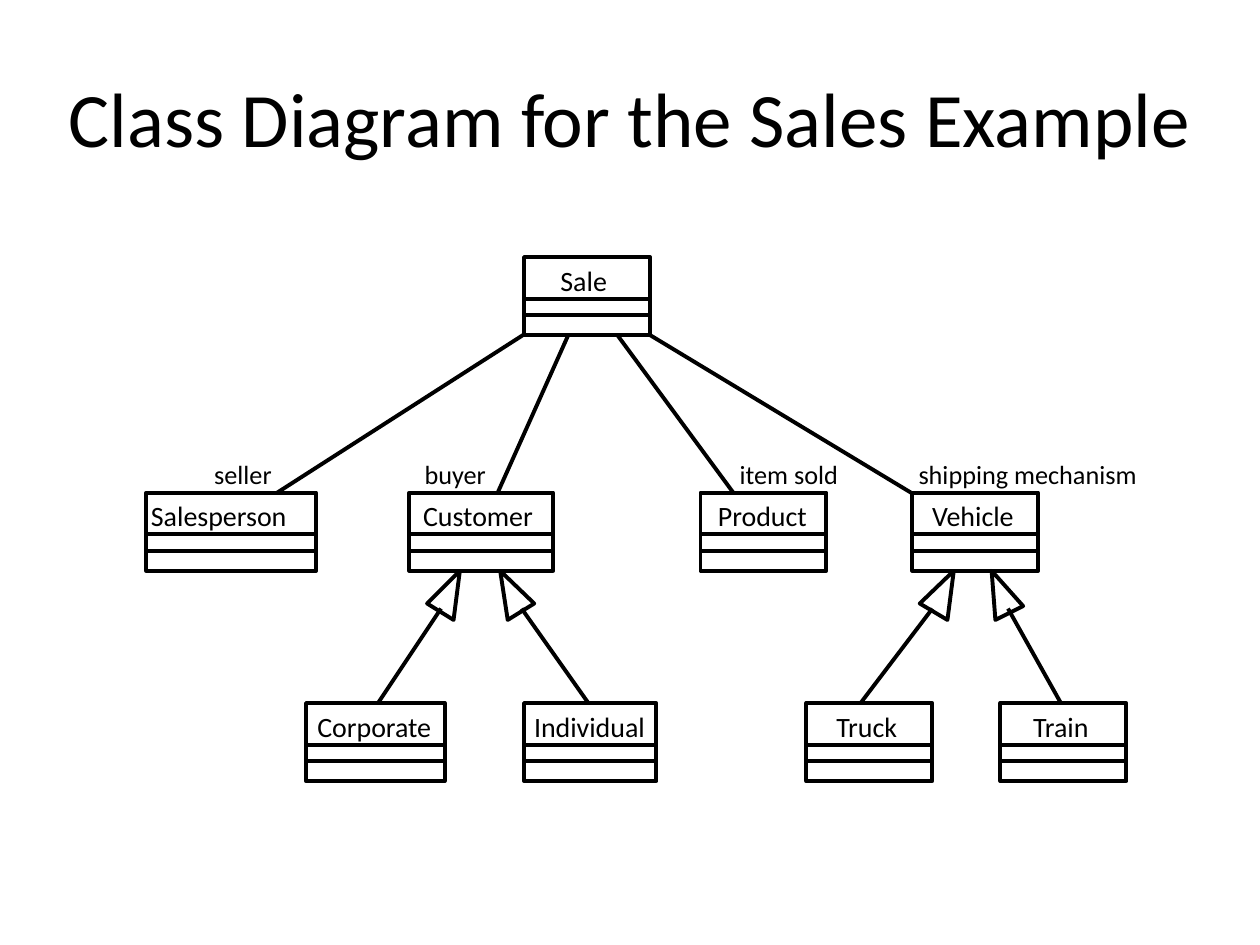
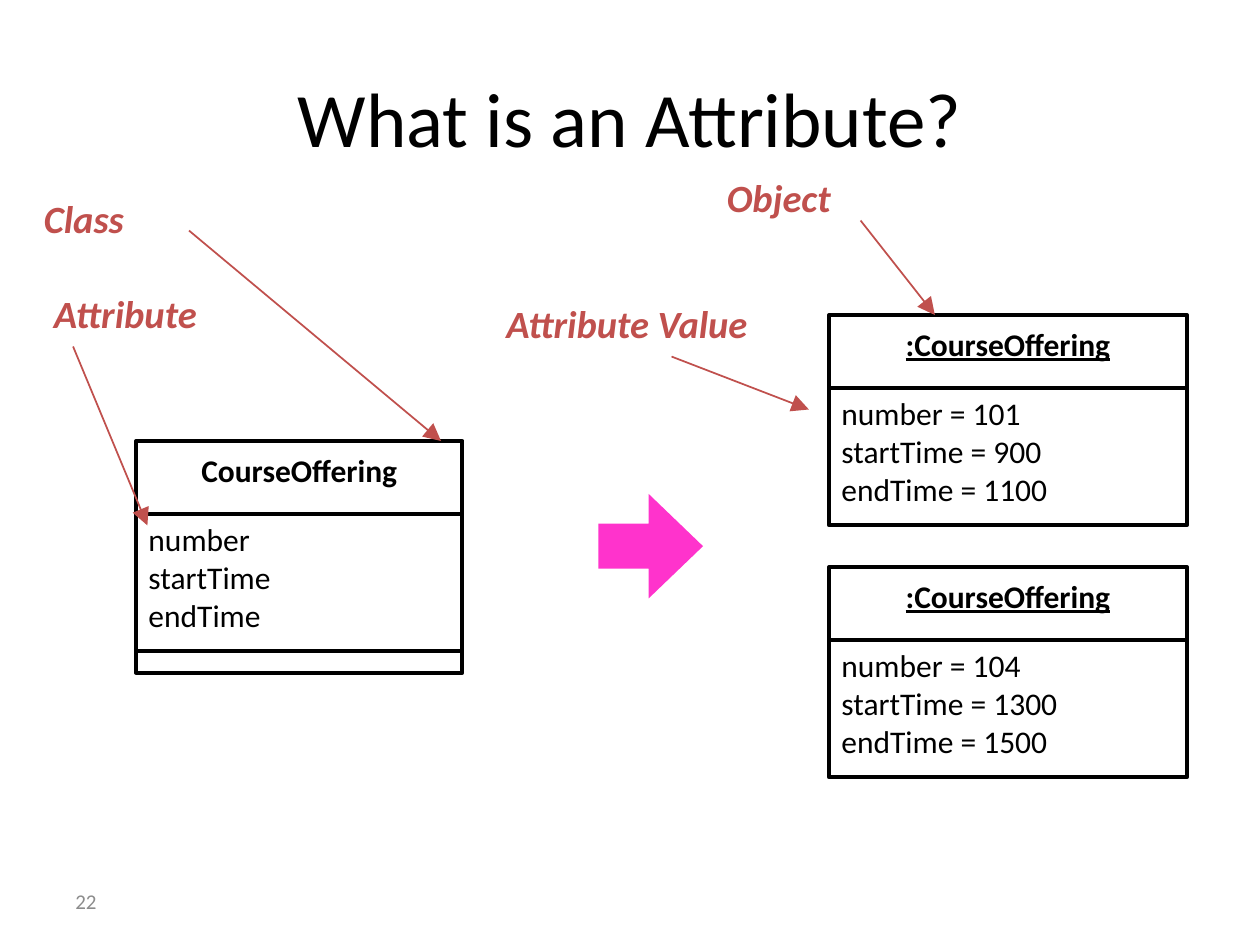
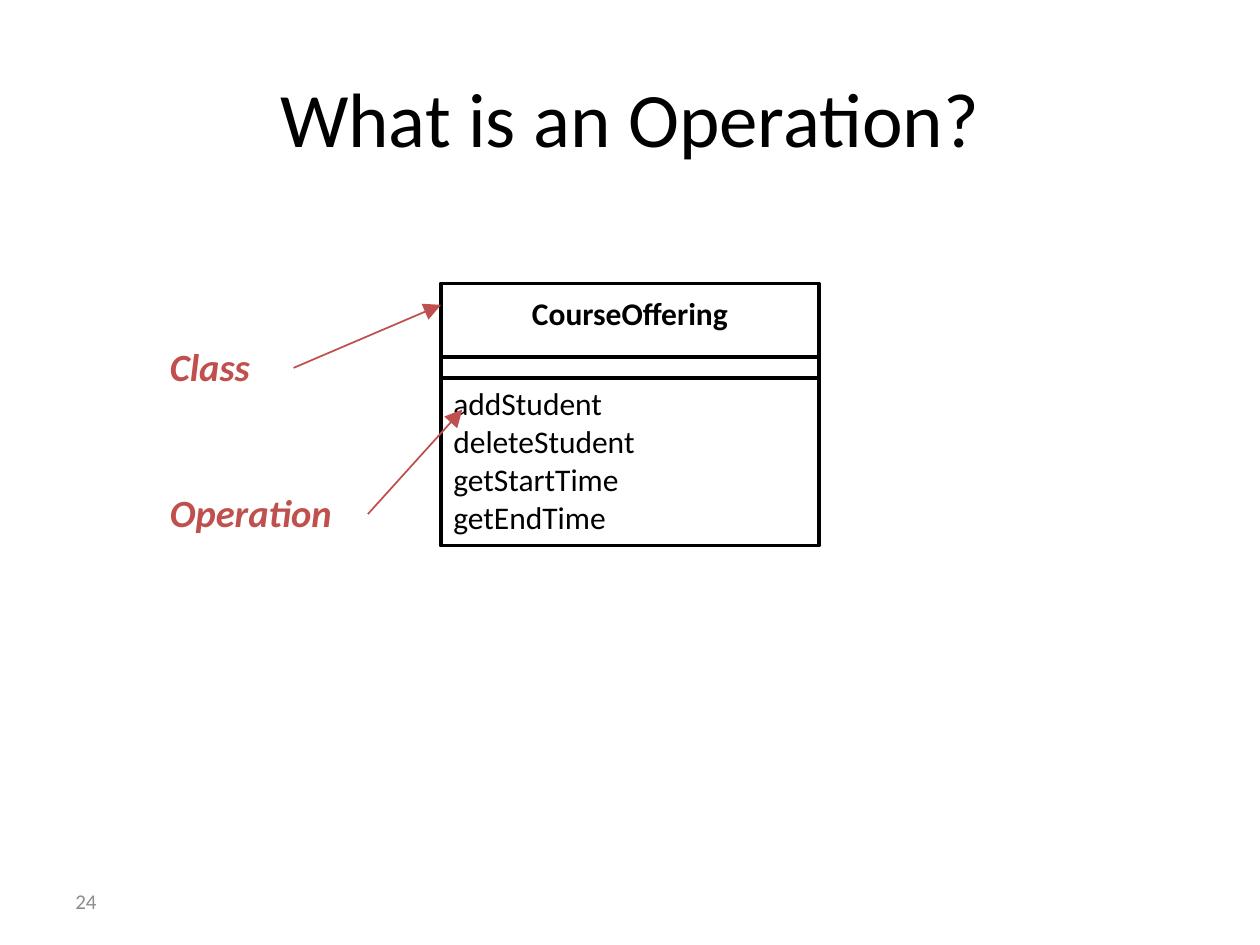
from itertools import accumulate
from lxml import etree
from pptx import Presentation, util as u
from pptx.dml.color import RGBColor
from pptx.enum import shapes, text
from pptx.oxml.ns import qn

COLORS = {"ink": "000000", "callout": "C0504D", "number": "8C8C8C", "arrow": "FF33CC"}
FONT = "Calibri"
INSETS = (0.1, 0.05)

LEVELS = {"sale": 2.04, "parts": 3.91, "kinds": 5.58}
CLASS_HEIGHT, CLASS_DIVIDERS = 0.62, (0.33, 0.46)
SALES_CLASSES = [
    ("Sale", "sale", 4.16, 1, 4.35, 0.64),
    ("Salesperson", "parts", 1.16, 1.35, 1.1, 1.43),
    ("Customer", "parts", 3.25, 1.14, 3.26, 1.16),
    ("Product", "parts", 5.56, 1, 5.6, 0.97),
    ("Vehicle", "parts", 7.24, 1, 7.3, 0.93),
    ("Corporate", "kinds", 2.43, 1.1, 2.42, 1.19),
    ("Individual", "kinds", 4.16, 1.05, 4.14, 1.14),
    ("Truck", "kinds", 6.4, 1, 6.54, 0.76),
    ("Train", "kinds", 7.94, 1, 8.1, 0.71),
]
ASSOCIATIONS = [(4.15, 2.2), (4.51, 3.95), (4.9, 5.82), (5.16, 7.23)]
ROLES = [
    ("seller", 1.58, 1.33),
    ("buyer", 3.25, 1.33),
    ("item sold", 5.75, 1.33),
    ("shipping mechanism", 7.17, 2.33),
]
INHERITANCES = [
    ([(3.65, 4.53), (3.6, 4.92), (3.39, 4.79)], (3.5, 4.83), 3),
    ([(3.97, 4.53), (4.24, 4.79), (4.03, 4.92)], (4.14, 4.83), 4.67),
    ([(7.57, 4.53), (7.52, 4.92), (7.3, 4.79)], (7.4, 4.83), 6.83),
    ([(7.87, 4.53), (8.12, 4.81), (7.9, 4.92)], (8, 4.83), 8.42),
]

NAME_HEIGHT = 0.58
DETAIL_SLIDES = [
    {
        "title": "What is an Attribute?",
        "number": "22",
        "frames": [
            (":CourseOffering", True, 6.58, 2.5, 2.84,
             [(1.09, ["number = 101", "startTime = 900", "endTime = 1100"])]),
            (":CourseOffering", True, 6.58, 4.5, 2.84,
             [(1.09, ["number = 104", "startTime = 1300", "endTime = 1500"])]),
            ("CourseOffering", False, 1.08, 3.5, 2.59,
             [(1.09, ["number", "startTime", "endTime"]), (0.17, [])]),
        ],
        "callouts": [
            ("Class", (0.25, 1.5), (1.5, 1.83), (3.5, 3.5)),
            ("Attribute", (0.33, 2.25), (0.58, 2.75), (1.17, 4.17)),
            ("Object", (5.67, 1.33), (6.83, 1.75), (7.42, 2.5)),
            ("Attribute Value", (3.92, 2.33), (5.33, 2.83), (6.42, 3.25)),
        ],
        "block_arrow": (4.75, 3.92, 0.83, 0.83),
    },
    {
        "title": "What is an Operation?",
        "number": "24",
        "frames": [
            ("CourseOffering", False, 3.5, 2.25, 3,
             [(0.17, []),
              (1.33, ["addStudent", "deleteStudent", "getStartTime", "getEndTime"])]),
        ],
        "callouts": [
            ("Class", (1.25, 2.67), (2.33, 2.92), (3.5, 2.42)),
            ("Operation", (1.25, 3.83), (2.92, 4.08), (3.67, 3.25)),
        ],
    },
]


def inches(*values):
    return [u.Inches(value) for value in values]


def color(name):
    return RGBColor.from_string(COLORS[name])


def write(frame, lines, size, ink="ink", align=text.PP_ALIGN.LEFT, insets=INSETS,
          anchor=text.MSO_ANCHOR.TOP, wrap=True, **style):
    frame.word_wrap = wrap
    frame.vertical_anchor = anchor
    frame.margin_left = frame.margin_right = u.Inches(insets[0])
    frame.margin_top = frame.margin_bottom = u.Inches(insets[1])
    for index, line in enumerate(lines):
        paragraph = frame.add_paragraph() if index else frame.paragraphs[0]
        paragraph.alignment = align
        run = paragraph.add_run()
        run.text = line
        run.font.name, run.font.size = FONT, u.Pt(size)
        run.font.color.rgb = color(ink)
        for key, value in style.items():
            setattr(run.font, key, value)


def add_text(slide, box, lines, size, **options):
    write(slide.shapes.add_textbox(*inches(*box)).text_frame, lines, size, **options)


def outline(shape):
    shape.shadow.inherit = False
    shape.fill.background()
    shape.line.color.rgb = color("ink")
    shape.line.width = u.Pt(2.25)


def add_frame(slide, left, top, width, height, dividers):
    outline(slide.shapes.add_shape(shapes.MSO_SHAPE.RECTANGLE,
                                   *inches(left, top, width, height)))
    for divider in dividers:
        add_line(slide, (left, top + divider), (left + width, top + divider))


def add_triangle(slide, corners):
    tip, *base = [inches(*corner) for corner in corners]
    builder = slide.shapes.build_freeform(*tip)
    builder.add_line_segments(base, close=True)
    outline(builder.convert_to_shape())


def add_line(slide, start, end, ink="ink", width=2.25, arrow=False):
    line = slide.shapes.add_connector(shapes.MSO_CONNECTOR.STRAIGHT,
                                      *inches(*start, *end))
    line.line.color.rgb = color(ink)
    line.line.width = u.Pt(width)
    if arrow:
        etree.SubElement(line.line._get_or_add_ln(), qn("a:tailEnd"),
                         type="triangle", w="lg", len="lg")
    etree.SubElement(line._element.spPr, qn("a:effectLst"))


def add_slide(presentation, title):
    slide = presentation.slides.add_slide(presentation.slide_layouts[5])
    shape = slide.shapes.title
    shape.left, shape.top, shape.width, shape.height = inches(0.5, 0.3, 9, 1.25)
    write(shape.text_frame, [title], 44, align=text.PP_ALIGN.CENTER,
          insets=(0, 0), anchor=text.MSO_ANCHOR.MIDDLE)
    return slide


def build_sales(presentation):
    slide = add_slide(presentation, "Class Diagram for the Sales Example")
    for name, level, left, width, name_left, name_width in SALES_CLASSES:
        top = LEVELS[level]
        add_frame(slide, left, top, width, CLASS_HEIGHT, CLASS_DIVIDERS)
        add_text(slide, (name_left, top, name_width, 0.37), [name], 16, wrap=False)
    for start, end in ASSOCIATIONS:
        add_line(slide, (start, LEVELS["sale"] + CLASS_HEIGHT), (end, LEVELS["parts"]))
    for corners, base, child in INHERITANCES:
        add_triangle(slide, corners)
        add_line(slide, base, (child, LEVELS["kinds"]))
    for role, left, width in ROLES:
        add_text(slide, (left, 3.58, width, 0.37), [role], 15, insets=(0.12, 0.06))


def build_detail(presentation, content):
    slide = add_slide(presentation, content["title"])
    add_text(slide, (0.5, 6.95, 2.33, 0.4), [content["number"]], 12,
             ink="number", anchor=text.MSO_ANCHOR.MIDDLE)
    if "block_arrow" in content:
        arrow = slide.shapes.add_shape(shapes.MSO_SHAPE.RIGHT_ARROW,
                                       *inches(*content["block_arrow"]))
        arrow.adjustments[0], arrow.adjustments[1] = 0.43, 0.52
        arrow.shadow.inherit = False
        arrow.fill.solid()
        arrow.fill.fore_color.rgb = color("arrow")
        arrow.line.fill.background()
    for name, underline, left, top, width, compartments in content["frames"]:
        heights = [height for height, lines in compartments]
        *dividers, total = accumulate([NAME_HEIGHT] + heights)
        add_frame(slide, left, top, width, total, dividers)
        add_text(slide, (left, top + 0.08, width, 0.4), [name], 18, insets=(0, 0),
                 align=text.PP_ALIGN.CENTER, bold=True, underline=underline)
        for divider, (height, lines) in zip(dividers, compartments):
            if lines:
                add_text(slide, (left, top + divider, width, height), lines, 18)
    for label, place, start, end in content["callouts"]:
        add_text(slide, (*place, 2.58, 0.47), [label], 22, ink="callout",
                 bold=True, italic=True)
        add_line(slide, start, end, ink="callout", width=1, arrow=True)


def main():
    presentation = Presentation()
    presentation.slide_width, presentation.slide_height = inches(10, 7.5)
    build_sales(presentation)
    for content in DETAIL_SLIDES:
        build_detail(presentation, content)
    presentation.save("out.pptx")


if __name__ == "__main__":
    main()
